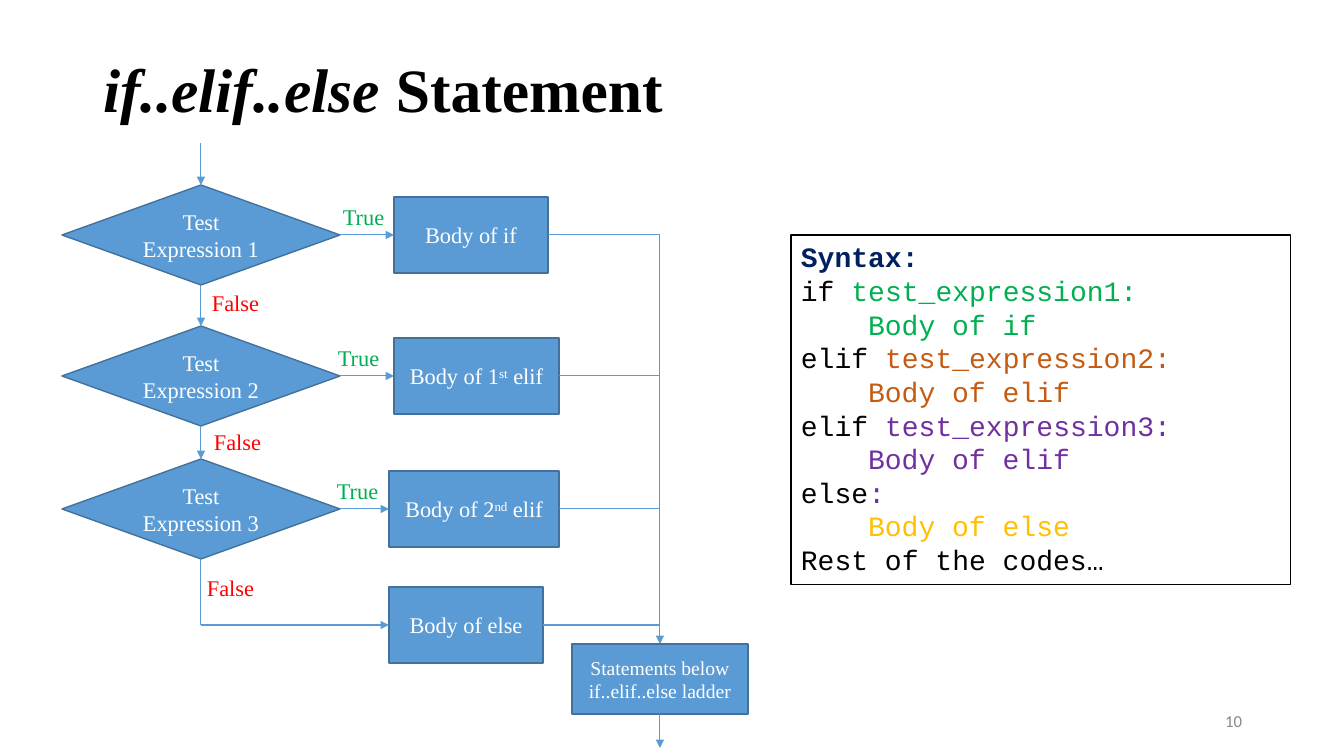
from dataclasses import dataclass

from lxml import etree
from pptx import Presentation
from pptx.dml.color import RGBColor
from pptx.enum.shapes import MSO_CONNECTOR, MSO_SHAPE
from pptx.enum.text import MSO_ANCHOR, MSO_AUTO_SIZE, PP_ALIGN
from pptx.oxml.ns import qn
from pptx.util import Pt

PX = 12192000 / 1344
DIAMOND, RECT = MSO_SHAPE.DIAMOND, MSO_SHAPE.RECTANGLE
STRAIGHT = MSO_CONNECTOR.STRAIGHT
LEFT, CENTER, RIGHT = PP_ALIGN.LEFT, PP_ALIGN.CENTER, PP_ALIGN.RIGHT
TOP, MIDDLE = MSO_ANCHOR.TOP, MSO_ANCHOR.MIDDLE
NO_AUTOFIT = MSO_AUTO_SIZE.NONE
TOP_SIDE, LEFT_SIDE, BOTTOM_SIDE, RIGHT_SIDE = range(4)


@dataclass(frozen=True)
class Theme:
    serif: str = "Times New Roman"
    mono: str = "Courier New"
    sans: str = "Calibri"
    black: str = "000000"
    white: str = "FFFFFF"
    navy: str = "002060"
    green: str = "00B050"
    orange: str = "C55A11"
    purple: str = "7030A0"
    gold: str = "FFC000"
    red: str = "FF0000"
    grey: str = "888888"
    blue: str = "5B9BD5"
    edge: str = "42719B"
    title_size: int = 44
    code_size: int = 20
    node_size: int = 16
    small_size: int = 14
    number_size: int = 12


T = Theme()


def px(n):
    return round(n * PX)


def rgb(color):
    return RGBColor.from_string(color)


def style_run(r, font, size, color, bold=False):
    r.font.name, r.font.size, r.font.bold = font, Pt(size), bold
    r.font.color.rgb = rgb(color)


def add_text(slide, box, text, font, size, color, align=LEFT, anchor=TOP, wrap=False):
    sp = slide.shapes.add_textbox(*map(px, box))
    tf = sp.text_frame
    tf.text = text
    tf.word_wrap, tf.vertical_anchor = wrap, anchor
    p = tf.paragraphs[0]
    p.alignment = align
    for r in p.runs:
        style_run(r, font, size, color)
    return sp


def add_node(slide, kind, box, parts, size=T.node_size):
    """Draw a filled flowchart node; every second text part is superscript."""
    sp = slide.shapes.add_shape(kind, *map(px, box))
    sp.shadow.inherit = False
    sp.fill.solid()
    sp.fill.fore_color.rgb = rgb(T.blue)
    sp.line.color.rgb, sp.line.width = rgb(T.edge), Pt(1)
    tf = sp.text_frame
    tf.word_wrap, tf.vertical_anchor = True, MIDDLE
    p = tf.paragraphs[0]
    p.alignment = CENTER
    for i, part in enumerate(parts):
        r = p.add_run()
        r.text = part
        style_run(r, T.serif, size, T.white)
        if i % 2:
            r._r.get_or_add_rPr().set("baseline", "30000")
    return sp


def side_point(sp, side):
    x = sp.left + (sp.width // 2, 0, sp.width // 2, sp.width)[side]
    y = sp.top + (0, sp.height // 2, sp.height, sp.height // 2)[side]
    return x, y


def add_link(slide, start, end, arrow=True):
    """Join two ends, each an (x, y) in px or a (shape, side)."""
    joined = [not isinstance(e[0], (int, float)) for e in (start, end)]
    points = [side_point(*e) if j else (px(e[0]), px(e[1]))
              for e, j in zip((start, end), joined)]
    cx = slide.shapes.add_connector(STRAIGHT, *points[0], *points[1])
    if joined[0]:
        cx.begin_connect(*start)
    if joined[1]:
        cx.end_connect(*end)
    cx.line.color.rgb, cx.line.width = rgb(T.blue), Pt(0.75)
    if arrow:
        etree.SubElement(cx.line._get_or_add_ln(), qn("a:tailEnd"), type="triangle")
    etree.SubElement(cx._element.spPr, qn("a:effectLst"))


def add_title(slide, box):
    sp = slide.shapes.title
    sp.left, sp.top, sp.width, sp.height = map(px, box)
    tf = sp.text_frame
    tf.auto_size, tf.vertical_anchor, tf.word_wrap = NO_AUTOFIT, MIDDLE, True
    p = tf.paragraphs[0]
    p.alignment, p.line_spacing = LEFT, 0.9
    for text, italic in (("if..elif..else ", True), ("Statement", False)):
        r = p.add_run()
        r.text = text
        style_run(r, T.serif, T.title_size, T.black, bold=True)
        r.font.italic = italic


def add_flowchart(slide, box):
    x, y, w, h = box
    axis, trunk = x + 139, x + 598
    # Row centre, body left and width, body text, True left, False left and drop
    rows = (
        (92, 332, 154, ("Body of if",), 271, 140, 49),
        (233, 332, 165, ("Body of 1", "st", " elif"), 266, 142, 47),
        (366, 327, 170, ("Body of 2", "nd", " elif"), 265, 135, 60),
    )
    else_y = y + 482

    # Tests, their bodies and the True / False branches
    previous = (axis, y)
    for i, (cy, left, width, parts, true_x, false_x, drop) in enumerate(rows, 1):
        cy += y
        test = add_node(slide, DIAMOND, (x, cy - 50, 278, 100), (f"Test Expression {i}",))
        body = add_node(slide, RECT, (x + left, cy - 38, width, 76), parts)
        add_link(slide, previous, (test, TOP_SIDE))
        add_link(slide, (test, RIGHT_SIDE), (body, LEFT_SIDE))
        add_link(slide, (body, RIGHT_SIDE), (trunk, cy), arrow=False)
        add_text(slide, (x + true_x, cy - 37, 62, 37), "True",
                 T.serif, T.node_size, T.green)
        add_text(slide, (x + false_x, cy + drop, 75, 37), "False",
                 T.serif, T.node_size, T.red)
        previous = (test, BOTTOM_SIDE)

    # Else branch
    body = add_node(slide, RECT, (x + 327, else_y - 38, 154, 76), ("Body of else",))
    add_link(slide, previous, (axis, else_y), arrow=False)
    add_link(slide, (axis, else_y), (body, LEFT_SIDE))
    add_link(slide, (body, RIGHT_SIDE), (trunk, else_y), arrow=False)

    # Shared exit
    rest = add_node(slide, RECT, (trunk - 88, y + 501, 176, 70),
                    ("Statements below if..elif..else ladder",), T.small_size)
    add_link(slide, (trunk, y + rows[0][0]), (rest, TOP_SIDE))
    add_link(slide, (rest, BOTTOM_SIDE), (trunk, y + h))


def add_syntax(slide, box):
    # Indent level, then coloured pieces of each code line
    lines = (
        (0, ("Syntax:", T.navy)),
        (0, ("if ", T.black), ("test_expression1:", T.green)),
        (1, ("Body of if", T.green)),
        (0, ("elif ", T.black), ("test_expression2:", T.orange)),
        (1, ("Body of elif", T.orange)),
        (0, ("elif ", T.black), ("test_expression3:", T.purple)),
        (1, ("Body of elif", T.purple)),
        (0, ("else", T.black), (":", T.purple)),
        (1, ("Body of else", T.gold)),
        (0, ("Rest of the codes…", T.black)),
    )
    sp = slide.shapes.add_textbox(*map(px, box))
    sp.line.color.rgb, sp.line.width = rgb(T.black), Pt(0.75)
    tf = sp.text_frame
    tf.word_wrap = True
    for i, (level, *pieces) in enumerate(lines):
        p = tf.add_paragraph() if i else tf.paragraphs[0]
        p._p.get_or_add_pPr().set("marL", str(level * Pt(48)))
        for text, color in pieces:
            r = p.add_run()
            r.text = text
            style_run(r, T.mono, T.code_size, color, bold=i == 0)


def main():
    prs = Presentation()
    prs.slide_width, prs.slide_height = px(1344), px(756)
    slide = prs.slides.add_slide(prs.slide_layouts[5])
    add_title(slide, (93, 20, 1159, 146))
    add_flowchart(slide, (62, 143, 687, 605))
    add_syntax(slide, (791, 235, 500, 350))
    add_text(slide, (950, 701, 302, 40), "10", T.sans, T.number_size, T.grey,
             RIGHT, MIDDLE, wrap=True)
    prs.save("out.pptx")


if __name__ == "__main__":
    main()
